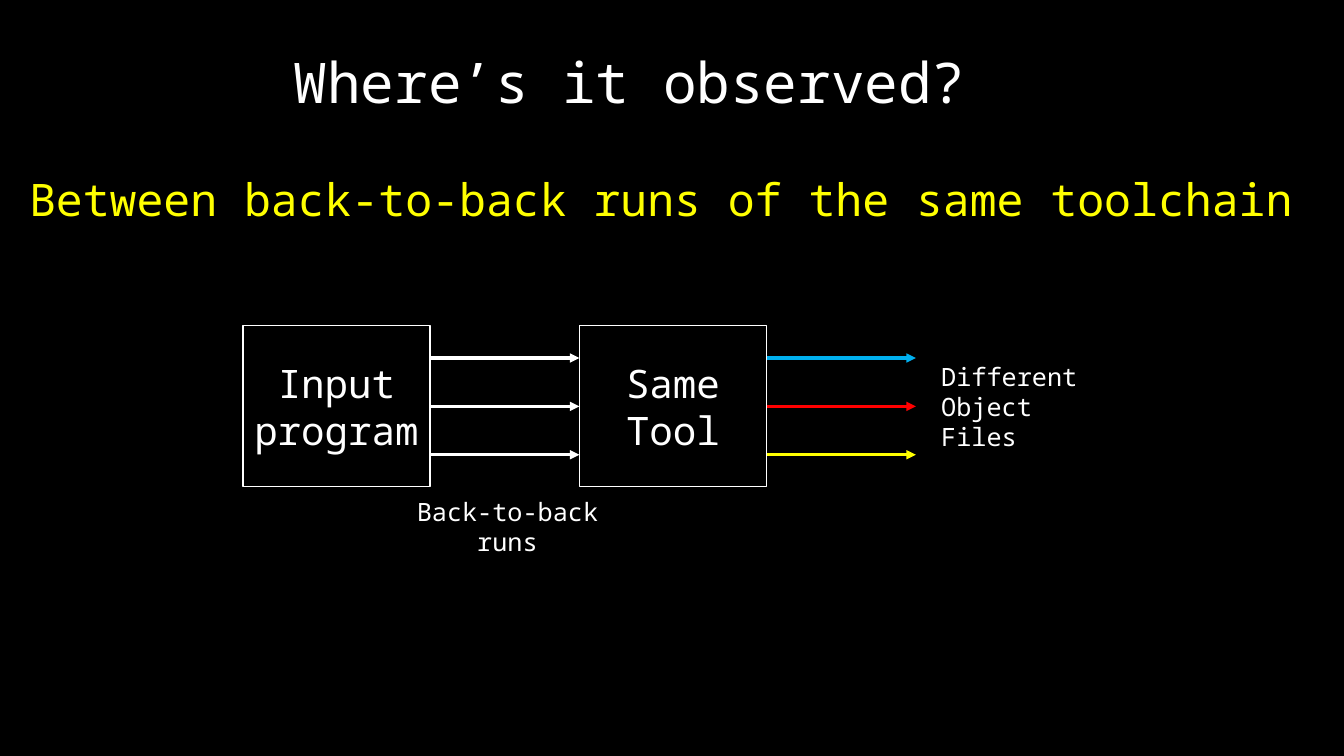
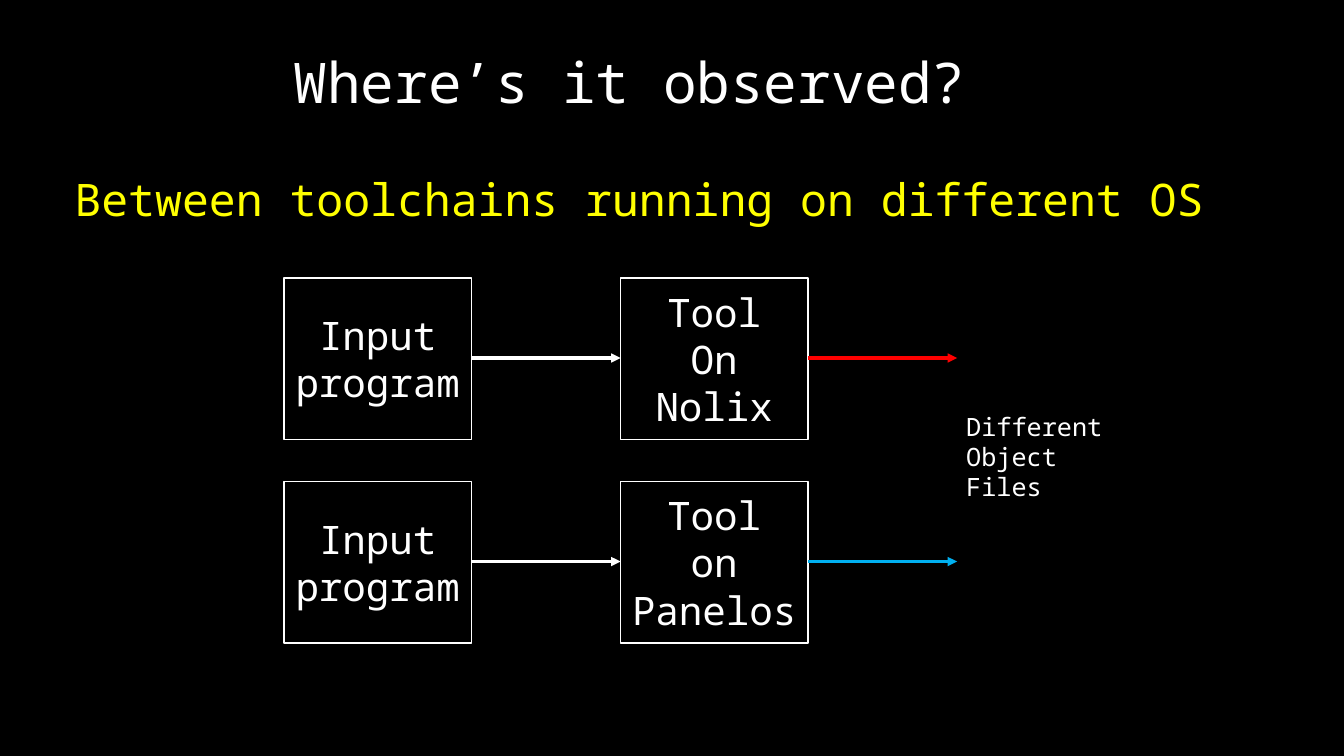
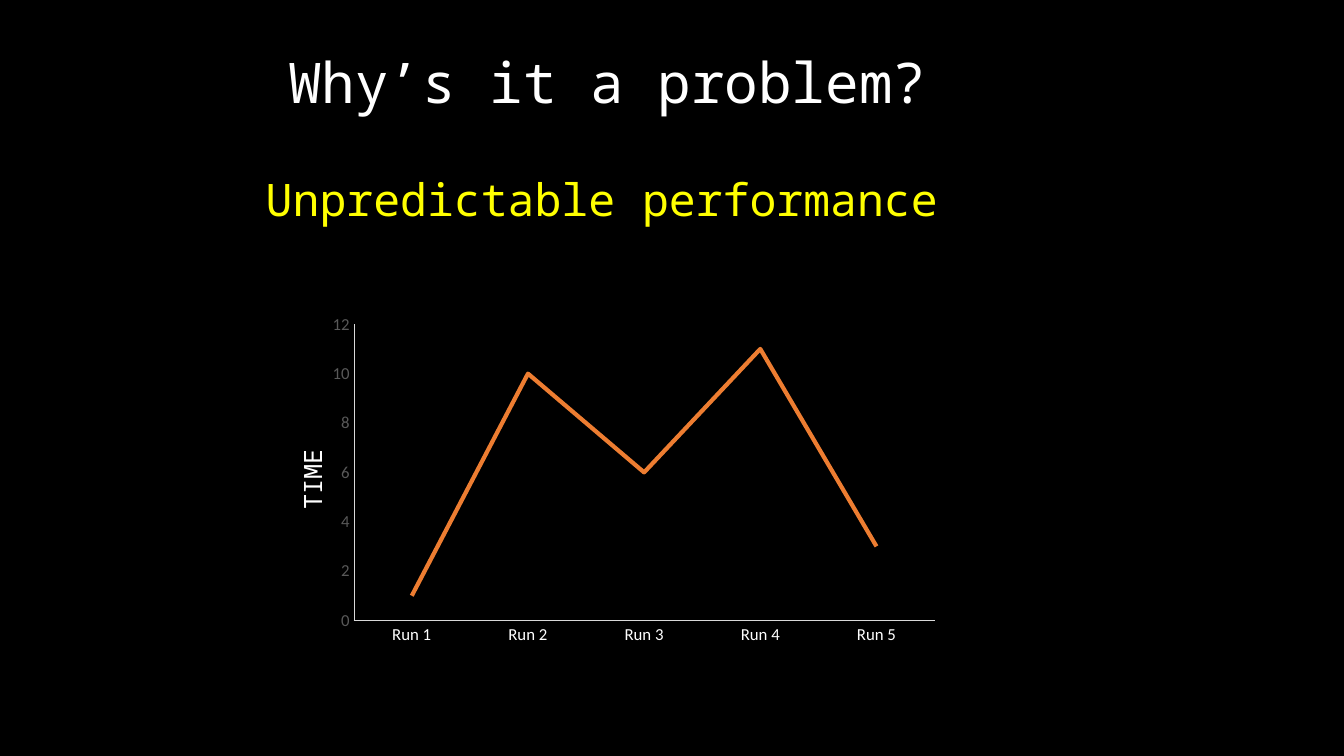
"""Build three slides on compiler output that differs between runs."""
from pptx import Presentation
from pptx.chart.data import CategoryChartData
from pptx.dml.color import RGBColor
from pptx.enum.chart import XL_CHART_TYPE, XL_MARKER_STYLE, XL_TICK_MARK
from pptx.enum.shapes import MSO_CONNECTOR, MSO_SHAPE
from pptx.enum.text import MSO_ANCHOR, MSO_AUTO_SIZE, PP_ALIGN
from pptx.oxml import parse_xml
from pptx.oxml.ns import nsdecls
from pptx.oxml.xmlchemy import OxmlElement
from pptx.util import Cm, Pt

LEFT, CENTER = PP_ALIGN.LEFT, PP_ALIGN.CENTER
MIDDLE, TOP = MSO_ANCHOR.MIDDLE, MSO_ANCHOR.TOP
FIT_TEXT, NO_FIT = MSO_AUTO_SIZE.SHAPE_TO_FIT_TEXT, MSO_AUTO_SIZE.NONE
RECTANGLE, STRAIGHT = MSO_SHAPE.RECTANGLE, MSO_CONNECTOR.STRAIGHT
LINE_CHART, NO_MARKER = XL_CHART_TYPE.LINE, XL_MARKER_STYLE.NONE
NO_TICK = XL_TICK_MARK.NONE
TITLE_ONLY = 5

COLORS = {
    "background": "000000", "text": "FFFFFF", "accent": "FFFF00",
    "blue": "00B0F0", "red": "FF0000", "series": "ED7D31",
    "axis": "D9D9D9", "scale": "595959",
}
MONO, SANS = "Noto Sans Mono", "Calibri"

# Lengths in centimetres
BOX_WIDTH, BOX_HEIGHT = 4.72, 4.06
BOX_STEP = 8.48
ARROW_LENGTH = BOX_STEP - BOX_WIDTH
RUN_STEP = 1.22
ROW_STEP = 5.13


def color(name):
    """Return the named colour."""
    return RGBColor.from_string(COLORS[name])


def set_attributes(target, values):
    """Set each attribute of target from a dict."""
    for name, value in values.items():
        setattr(target, name, value)


def format_font(font, size, color_name="text", name=MONO):
    """Give a font its face, size and colour."""
    set_attributes(font, {"name": name, "size": Pt(size), "bold": False})
    font.color.rgb = color(color_name)


def format_line(line, color_name, width):
    """Give a line its colour and width in points."""
    line.color.rgb = color(color_name)
    line.width = Pt(width)


def write_text(shape, text, size, color_name="text", align=CENTER,
               anchor=TOP, auto_size=FIT_TEXT):
    """Write one paragraph for each line of text."""
    frame = shape.text_frame
    frame.text = text
    set_attributes(frame, {"word_wrap": False, "auto_size": auto_size,
                           "vertical_anchor": anchor})
    for paragraph in frame.paragraphs:
        paragraph.alignment = align
        format_font(paragraph.runs[0].font, size, color_name)


def add_label(slide, text, left, top, width, height, size=18, **style):
    """Add a text box."""
    label = slide.shapes.add_textbox(Cm(left), Cm(top), Cm(width), Cm(height))
    write_text(label, text, size, **style)


def add_titled_slide(presentation, title, subtitle, subtitle_left,
                     subtitle_width, title_width=17.7, title_align=CENTER):
    """Add a slide with its title and yellow subtitle."""
    slide = presentation.slides.add_slide(
        presentation.slide_layouts[TITLE_ONLY])
    set_attributes(slide.shapes.title, {
        "left": Cm(7.01), "top": Cm(1.07),
        "width": Cm(title_width), "height": Cm(1.96)})
    write_text(slide.shapes.title, title, 40, align=title_align)
    add_label(slide, subtitle, subtitle_left, 4.19, subtitle_width, 1.63,
              size=32, color_name="accent")
    return slide


def add_box(slide, text, left, top):
    """Add an outlined box with centred text."""
    box = slide.shapes.add_shape(
        RECTANGLE, Cm(left), Cm(top), Cm(BOX_WIDTH), Cm(BOX_HEIGHT))
    box.shadow.inherit = False
    box.fill.background()
    format_line(box.line, "text", 1)
    write_text(box, text, 28, anchor=MIDDLE, auto_size=NO_FIT)


def add_arrow(slide, left, top, color_name="text"):
    """Add a horizontal arrow that points right."""
    arrow = slide.shapes.add_connector(
        STRAIGHT, Cm(left), Cm(top), Cm(left + ARROW_LENGTH), Cm(top))
    format_line(arrow.line, color_name, 2.25)
    head = OxmlElement("a:tailEnd")
    head.set("type", "triangle")
    arrow.line._get_or_add_ln().append(head)
    arrow._element.spPr.append(OxmlElement("a:effectLst"))


def add_flow(slide, compiler, left, top, arrow_tops, output_colors):
    """Add input box, compiler box and the arrows that leave each."""
    add_box(slide, "Input\nprogram", left, top)
    add_box(slide, compiler, left + BOX_STEP, top)
    for arrow_top, output_color in zip(arrow_tops, output_colors):
        add_arrow(slide, left + BOX_WIDTH, arrow_top)
        add_arrow(slide, left + BOX_STEP + BOX_WIDTH, arrow_top, output_color)


def add_result_label(slide, left, top):
    """Add the label of the differing results."""
    add_label(slide, "Different\nObject\nFiles", left, top, 3.99, 2.57,
              align=LEFT)


def set_plot_layout(chart, **fractions):
    """Fix the inner plot area as fractions of the chart."""
    plot_area = chart._chartSpace.xpath("c:chart/c:plotArea")[0]
    for layout in plot_area.xpath("c:layout"):
        plot_area.remove(layout)
    values = "".join(f'<c:{name} val="{value}"/>'
                     for name, value in fractions.items())
    plot_area.insert(0, parse_xml(
        f'<c:layout {nsdecls("c")}><c:manualLayout>'
        '<c:layoutTarget val="inner"/><c:xMode val="edge"/>'
        f'<c:yMode val="edge"/>{values}</c:manualLayout></c:layout>'))


def format_axis(axis, color_name):
    """Style an axis without gridlines and tick marks."""
    set_attributes(axis, {"has_major_gridlines": False,
                          "major_tick_mark": NO_TICK,
                          "minor_tick_mark": NO_TICK})
    format_font(axis.tick_labels.font, 12, color_name, SANS)
    format_line(axis.format.line, "axis", 0.25)


def add_time_chart(slide):
    """Add the line chart of run times."""
    data = CategoryChartData()
    data.categories = [f"Run {number}" for number in range(1, 6)]
    data.add_series("Series 1", (1, 10, 6, 11, 3))
    chart = slide.shapes.add_chart(
        LINE_CHART, Cm(7.24), Cm(6.48), Cm(17.81), Cm(10.85), data).chart
    set_attributes(chart, {"has_legend": False, "has_title": False})
    format_font(chart.font, 10, "background", SANS)
    set_plot_layout(chart, x=0.094, y=0.156, w=0.822, h=0.688)

    chart.plots[0].vary_by_categories = False
    series = chart.plots[0].series[0]
    series.smooth = False
    series.marker.style = NO_MARKER
    format_line(series.format.line, "series", 3)

    format_axis(chart.category_axis, "text")
    time_axis = chart.value_axis
    format_axis(time_axis, "scale")
    set_attributes(time_axis, {"minimum_scale": 0, "maximum_scale": 12,
                               "major_unit": 2})
    title_frame = time_axis.axis_title.text_frame
    title_frame.text = "TIME"
    format_font(title_frame.paragraphs[0].runs[0].font, 18)
    title_frame._txBody.bodyPr.set("rot", "-5400000")
    title_frame._txBody.bodyPr.set("vert", "horz")


def add_same_toolchain_slide(presentation):
    """Add the slide on repeated runs of one toolchain."""
    slide = add_titled_slide(
        presentation, "Where’s it observed?",
        "Between back-to-back runs of the same toolchain", 0.3, 32.74)
    run_tops = [9.02 + run * RUN_STEP for run in range(3)]
    add_flow(slide, "Same\nTool", 6.12, 8.2, run_tops,
             ("blue", "red", "accent"))
    add_label(slide, "Back-to-back\nruns", 10.21, 12.37, 5.16, 1.8)
    add_result_label(slide, 23.47, 8.97)


def add_different_systems_slide(presentation):
    """Add the slide on toolchains on two operating systems."""
    slide = add_titled_slide(
        presentation, "Where’s it observed?",
        "Between toolchains running on different OS", 1.12, 30)
    systems = (("Tool\nOn\nNolix", "red"), ("Tool\non\nPanelos", "blue"))
    for row, (compiler, output_color) in enumerate(systems):
        top = 7.01 + row * ROW_STEP
        add_flow(slide, compiler, 7.16, top, [top + 2.01], [output_color])
    add_result_label(slide, 24.1, 10.24)


def add_performance_slide(presentation):
    """Add the slide on varying run times."""
    slide = add_titled_slide(
        presentation, "Why’s it a problem?", "Unpredictable performance",
        6.35, 17.65, title_width=16.84, title_align=LEFT)
    add_time_chart(slide)


def main():
    """Build and save the presentation."""
    presentation = Presentation()
    set_attributes(presentation, {"slide_width": Cm(33.87),
                                  "slide_height": Cm(19.05)})
    background = presentation.slide_master.background.fill
    background.solid()
    background.fore_color.rgb = color("background")
    add_same_toolchain_slide(presentation)
    add_different_systems_slide(presentation)
    add_performance_slide(presentation)
    presentation.save("out.pptx")


main()
